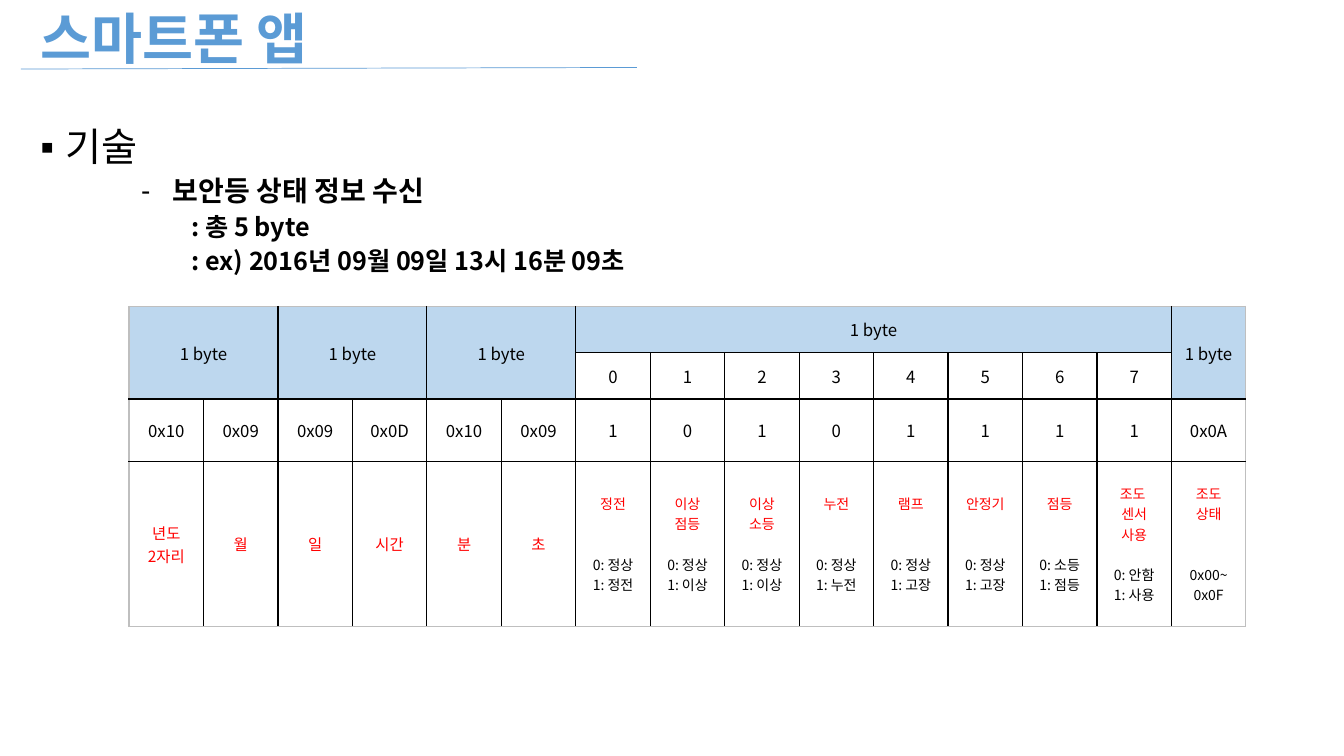
from lxml.etree import SubElement as add_node
from pptx import Presentation
from pptx.dml.color import RGBColor
from pptx.enum.shapes import MSO_CONNECTOR as Connector
from pptx.enum.text import MSO_ANCHOR as Anchor, MSO_AUTO_SIZE as AutoSize, PP_ALIGN as Align
from pptx.oxml.ns import qn
from pptx.util import Pt

FONT = "Noto Sans CJK KR"
BLACK, RED, WHITE, BLUE, PALE, GREY = "000000", "FF0000", "FFFFFF", "5B9BD5", "BDD7EE", "BFBFBF"

TITLE = "스마트폰 앱"
BULLETS = [
    ("기술", 0, "▪", 18, -18, 28, False, 10),
    (" 보안등 상태 정보 수신", 2, "-", 90, -18, 20, True, 5),
    (": 총 5 byte", 3, None, 108, 0, 18, True, 5),
    (": ex) 2016년 09월 09일 13시 16분 09초", 3, None, 108, 0, 18, True, 5),
]
BYTE_SPANS = [(0, 2, 2), (2, 2, 2), (4, 2, 2), (6, 8, 1), (14, 1, 2)]
BITS = range(8)
VALUES = ["0x10", "0x09", "0x09", "0x0D", "0x10", "0x09", *"10101111", "0x0A"]
DATE_FIELDS = [["년도", "2자리"], ["월"], ["일"], ["시간"], ["분"], ["초"]]
STATUS_FIELDS = [
    (["정전"], 2, ["0: 정상", "1: 정전"]),
    (["이상", "점등"], 1, ["0: 정상", "1: 이상"]),
    (["이상", "소등"], 1, ["0: 정상", "1: 이상"]),
    (["누전"], 2, ["0: 정상", "1: 누전"]),
    (["램프"], 2, ["0: 정상", "1: 고장"]),
    (["안정기"], 2, ["0: 정상", "1: 고장"]),
    (["점등"], 2, ["0: 소등", "1: 점등"]),
    (["조도 ", "센서", "사용"], 1, ["0: 안함", "1: 사용"]),
    (["조도", "상태"], 2, ["0x00~", "0x0F"]),
]
LEFT, TOP, COLUMN_WIDTH = 92.2, 218.9, 53.2
ROW_HEIGHTS = [33.1, 33.1, 44.6, 118.1]
BLANK_LINE = 14.5


def color(value):
    return RGBColor.from_string(value)


def assign(target, **values):
    for name, value in values.items():
        setattr(target, name, value)


def write(para, text, size, ink=BLACK, bold=False, **layout):
    assign(para, **layout)
    span = para.add_run()
    span.text = text
    span.font.color.rgb = color(ink)
    assign(span.font, size=Pt(size), bold=bold, name=FONT)
    add_node(span.font._element, qn("a:ea"), typeface=FONT)


def place(box, left, top, width, height):
    assign(box, left=Pt(left), top=Pt(top), width=Pt(width), height=Pt(height))


def set_bullet(para, mark, margin, indent):
    props = para._p.get_or_add_pPr()
    props.set("marL", str(Pt(margin)))
    props.set("indent", str(Pt(indent)))
    if mark:
        add_node(props, qn("a:buChar"), char=mark)
    else:
        add_node(props, qn("a:buNone"))


def fill_cell(cell, lines, margin=None):
    cell.vertical_anchor = Anchor.MIDDLE
    if margin:
        assign(cell, **{"margin_" + side: Pt(margin) for side in ("left", "right", "top", "bottom")})
    frame = cell.text_frame
    for index, (text, size, ink, gap) in enumerate(lines):
        para = frame.paragraphs[0] if index == 0 else frame.add_paragraph()
        write(para, text, size, ink, alignment=Align.CENTER, space_before=Pt(gap))


def draw_borders(cell, edges):
    props = cell._tc.get_or_add_tcPr()
    for index, (side, ink) in enumerate(edges.items()):
        line = add_node(props, qn("a:ln" + side), w=str(Pt(1)))
        add_node(add_node(line, qn("a:solidFill")), qn("a:srgbClr"), val=ink)
        props.insert(index, line)


deck = Presentation()
assign(deck, slide_width=Pt(960), slide_height=Pt(540))
page = deck.slides.add_slide(deck.slide_layouts[1])
title, body = page.placeholders

place(title, 21.6, 11.5, 551.5, 41.8)
assign(title.text_frame, auto_size=AutoSize.NONE, vertical_anchor=Anchor.MIDDLE, word_wrap=True)
write(title.text_frame.paragraphs[0], TITLE, 39.6, BLUE, True, alignment=Align.LEFT, line_spacing=0.7)

rule = page.shapes.add_connector(Connector.STRAIGHT, Pt(15), Pt(49.3), Pt(455), Pt(48.2))
rule.line.color.rgb = color(BLUE)
rule.line.width = Pt(0.5)
add_node(rule._element.spPr, qn("a:effectLst"))

place(body, 21.6, 87.8, 473.8, 390.2)
assign(body.text_frame, auto_size=AutoSize.NONE, vertical_anchor=Anchor.TOP, word_wrap=True)
for index, (text, level, mark, margin, indent, size, bold, gap) in enumerate(BULLETS):
    para = body.text_frame.paragraphs[0] if index == 0 else body.text_frame.add_paragraph()
    write(para, text, size, bold=bold, level=level, line_spacing=0.9, space_before=Pt(gap))
    set_bullet(para, mark, margin, indent)

column_count, row_count = len(VALUES), len(ROW_HEIGHTS)
table = page.shapes.add_table(row_count, column_count, Pt(LEFT), Pt(TOP),
                              Pt(COLUMN_WIDTH * column_count), Pt(sum(ROW_HEIGHTS))).table
assign(table, first_row=False, horz_banding=False)
for column in table.columns:
    column.width = Pt(COLUMN_WIDTH)
for row, height in zip(table.rows, ROW_HEIGHTS):
    row.height = Pt(height)

for row in range(row_count):
    for column in range(column_count):
        cell = table.cell(row, column)
        in_header = row == 0 or (row == 1 and not 6 <= column < 14)
        cell.fill.solid()
        cell.fill.fore_color.rgb = color(PALE if in_header else WHITE)
        draw_borders(cell, {
            "L": BLACK if column else GREY,
            "R": BLACK if column < column_count - 1 else GREY,
            "T": BLACK if row else GREY,
            "B": BLACK if row < row_count - 1 else GREY,
        })

for start, width, height in BYTE_SPANS:
    cell = table.cell(0, start)
    cell.merge(table.cell(height - 1, start + width - 1))
    fill_cell(cell, [("1 byte", 12, BLACK, 0)], 3 if width == 1 else None)
for bit in BITS:
    fill_cell(table.cell(1, 6 + bit), [(str(bit), 12, BLACK, 0)])
for column, value in enumerate(VALUES):
    fill_cell(table.cell(2, column), [(value, 12, BLACK, 0)])
for column, labels in enumerate(DATE_FIELDS):
    fill_cell(table.cell(3, column), [(label, 11, RED, 0) for label in labels], 3)
for column, (labels, blanks, meanings) in enumerate(STATUS_FIELDS, len(DATE_FIELDS)):
    lines = [(label, 10, RED, 0) for label in labels]
    lines += [(meaning, 10, BLACK, 0 if index else blanks * BLANK_LINE)
              for index, meaning in enumerate(meanings)]
    fill_cell(table.cell(3, column), lines, 3)

deck.save("out.pptx")
